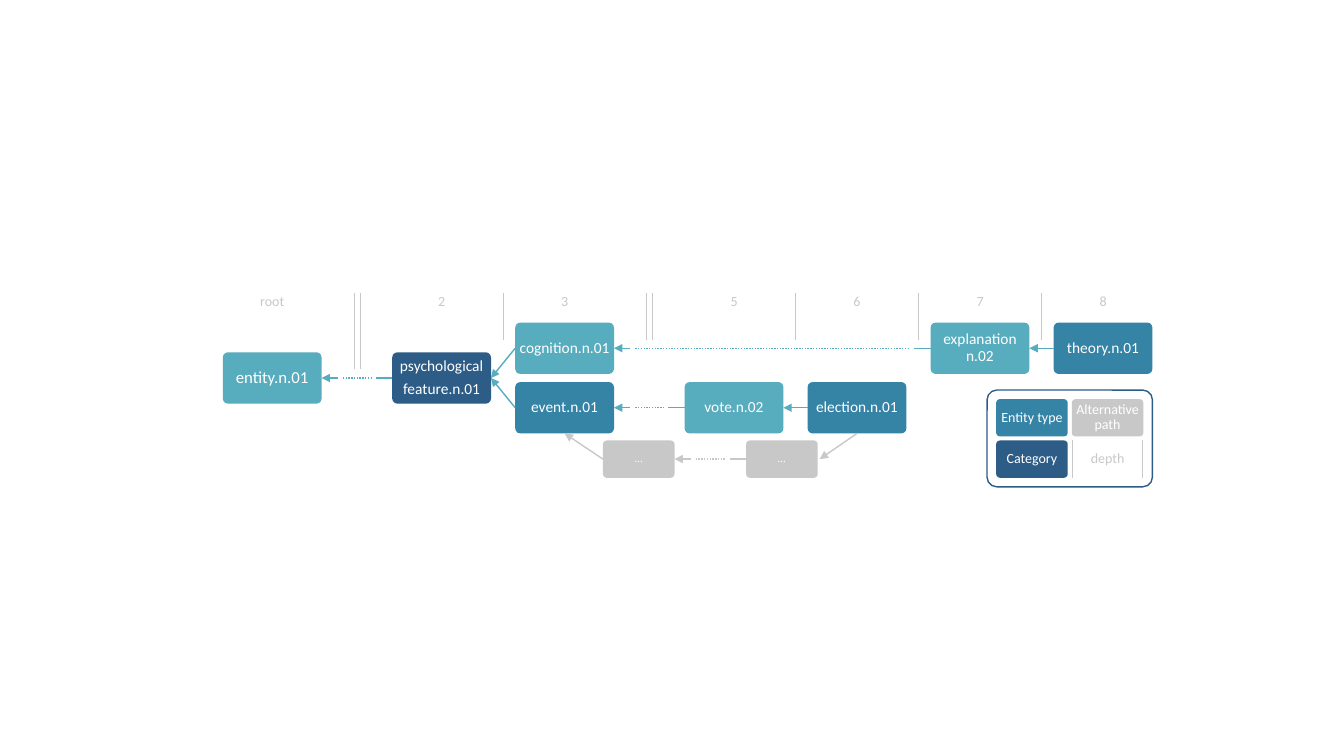
from lxml import etree
from pptx import Presentation
from pptx.dml.color import RGBColor
from pptx.enum.dml import MSO_LINE
from pptx.enum.shapes import MSO_CONNECTOR, MSO_SHAPE
from pptx.enum.text import MSO_ANCHOR, PP_ALIGN
from pptx.oxml.ns import qn
from pptx.util import Inches, Pt

STRAIGHT = MSO_CONNECTOR.STRAIGHT
ROUNDED = MSO_SHAPE.ROUNDED_RECTANGLE
DOTTED = MSO_LINE.ROUND_DOT
CENTER, MIDDLE = PP_ALIGN.CENTER, MSO_ANCHOR.MIDDLE

TEAL, BLUE, NAVY, GRAY, WHITE = "57ACBE", "3583A5", "2D5C87", "C8C8C8", "FFFFFF"

# Grid: one column per depth, wider where depths are skipped
LEFT, COL_STEP, SKIP = 2.21, 1.22, 0.46
TOP, ROW_STEP = 3.2, 0.59
BOX_W, BOX_H = 0.98, 0.51
TILE_W, TILE_H = 0.71, 0.37
SKIP_BEFORE = (1, 3)


def col(index):
    return LEFT + COL_STEP * index + SKIP * sum(index >= s for s in SKIP_BEFORE)


def row(index):
    return TOP + ROW_STEP * index


def middle(index):
    return row(index) + BOX_H / 2


def rgb(value):
    return RGBColor.from_string(value)


def write(frame, text, size=11, color=WHITE, spacing=0.9):
    frame.word_wrap = True
    frame.vertical_anchor = MIDDLE
    frame.margin_left = frame.margin_right = Inches(0.02)
    frame.margin_top = frame.margin_bottom = Inches(0.02)
    for number, line in enumerate(text.split("\n")):
        paragraph = frame.add_paragraph() if number else frame.paragraphs[0]
        paragraph.alignment = CENTER
        paragraph.line_spacing = spacing
        paragraph.space_after = Pt(round(size * 0.35))
        run = paragraph.add_run()
        run.text = line
        run.font.name = "Calibri"
        run.font.size = Pt(size)
        run.font.color.rgb = rgb(color)


class PathDiagram:
    def __init__(self, slide):
        self.shapes = slide.shapes

    def box(self, x, y, w, h, text="", fill=None, outline=None, **style):
        box = self.shapes.add_shape(ROUNDED, *map(Inches, (x, y, w, h)))
        box.adjustments[0] = 0.1
        box.shadow.inherit = False
        if fill:
            box.fill.solid()
            box.fill.fore_color.rgb = rgb(fill)
        else:
            box.fill.background()
        if outline:
            box.line.color.rgb = rgb(outline)
            box.line.width = Pt(1)
        else:
            box.line.fill.background()
        if text:
            write(box.text_frame, text, **style)

    def label(self, x, y, w, h, text, **style):
        label = self.shapes.add_textbox(*map(Inches, (x, y, w, h)))
        write(label.text_frame, text, **style)

    def line(self, start, end, color=TEAL, width=1, arrow=False, dotted=False):
        line = self.shapes.add_connector(STRAIGHT, *map(Inches, (*start, *end)))
        line.line.color.rgb = rgb(color)
        line.line.width = Pt(width)
        if dotted:
            line.line.dash_style = DOTTED
        properties = line._element.spPr
        if arrow:
            outline = properties.find(qn("a:ln"))
            etree.SubElement(outline, qn("a:tailEnd")).set("type", "triangle")
        etree.SubElement(properties, qn("a:effectLst"))

    def tick(self, x, top, bottom):
        self.line((x, top), (x, bottom), GRAY, 0.5)

    def skipped_path(self, left, right, y, color=TEAL):
        """Arrow to the left whose middle stands for omitted steps."""
        stub, dots = 0.16, 0.21
        self.line((left + stub, y), (left, y), color, arrow=True)
        self.line((left + dots, y), (right - dots, y), color, dotted=True)
        self.line((right - stub, y), (right, y), color)


def main():
    deck = Presentation()
    deck.slide_width, deck.slide_height = Inches(13.33), Inches(7.5)
    diagram = PathDiagram(deck.slides.add_slide(deck.slide_layouts[6]))

    # Depth labels and the ticks between them
    for index, depth in enumerate(("root", "2", "3", "5", "6", "7", "8")):
        diagram.label(col(index), 2.85, BOX_W, 0.27, depth,
                      size=10, color=GRAY, spacing=1)
        if index:
            between = (col(index - 1) + BOX_W + col(index)) / 2
            offsets = (-0.03, 0.03) if index in SKIP_BEFORE else (0,)
            for offset in offsets:
                diagram.tick(between + offset, 2.91, 3.66 if index == 1 else 3.37)

    # Concepts: column, row, text, fill, size
    concepts = (
        (0, 0.5, "entity.n.01", TEAL, 12),
        (1, 0.5, "psychological\nfeature.n.01", NAVY, 11),
        (2, 0, "cognition.n.01", TEAL, 11),
        (5, 0, "explanation n.02", TEAL, 11),
        (6, 0, "theory.n.01", BLUE, 11),
        (2, 1, "event.n.01", BLUE, 11),
        (3, 1, "vote.n.02", TEAL, 11),
        (4, 1, "election.n.01", BLUE, 11),
    )
    for column, level, name, fill, size in concepts:
        diagram.box(col(column), row(level), BOX_W, BOX_H, name, fill, size=size)

    # Paths towards the root
    for target, source, level in ((0, 1, 0.5), (2, 5, 0), (2, 3, 1)):
        diagram.skipped_path(col(target) + BOX_W, col(source), middle(level))
    for target, source, level in ((3, 4, 1), (5, 6, 0)):
        diagram.line((col(source), middle(level)),
                     (col(target) + BOX_W, middle(level)), arrow=True)
    for level in (0, 1):
        diagram.line((col(2), middle(level)), (col(1) + BOX_W, middle(0.5)), arrow=True)

    # Alternative path
    alt_left, alt_right, alt_top = 5.98, 7.4, 4.37
    alt_middle, under_event = alt_top + TILE_H / 2, row(1) + BOX_H
    for x in (alt_left, alt_right):
        diagram.box(x, alt_top, TILE_W, TILE_H, "…", GRAY, size=8)
    diagram.skipped_path(alt_left + TILE_W, alt_right, alt_middle, GRAY)
    diagram.line((col(4) + BOX_W / 2, under_event),
                 (alt_right + TILE_W + 0.02, alt_middle), GRAY, arrow=True)
    diagram.line((alt_left, alt_middle),
                 (col(2) + BOX_W / 2, under_event), GRAY, arrow=True)

    # Legend
    legend_x, legend_y = 9.79, 3.87
    legend = (
        (0, 0, "Entity type", BLUE, WHITE),
        (0, 1, "Category", NAVY, WHITE),
        (1, 0, "Alternative path", GRAY, WHITE),
        (1, 1, "depth", None, GRAY),
    )
    for column, level, meaning, fill, color in legend:
        x, y = legend_x + 0.09 + 0.75 * column, legend_y + 0.09 + 0.41 * level
        diagram.box(x, y, TILE_W, TILE_H, meaning, fill, size=10, color=color)
        if not fill:
            for edge in (x + 0.01, x + TILE_W - 0.01):
                diagram.tick(edge, y, y + TILE_H)
    diagram.box(legend_x, legend_y, 1.64, 0.96, outline=NAVY)

    deck.save("out.pptx")


if __name__ == "__main__":
    main()
